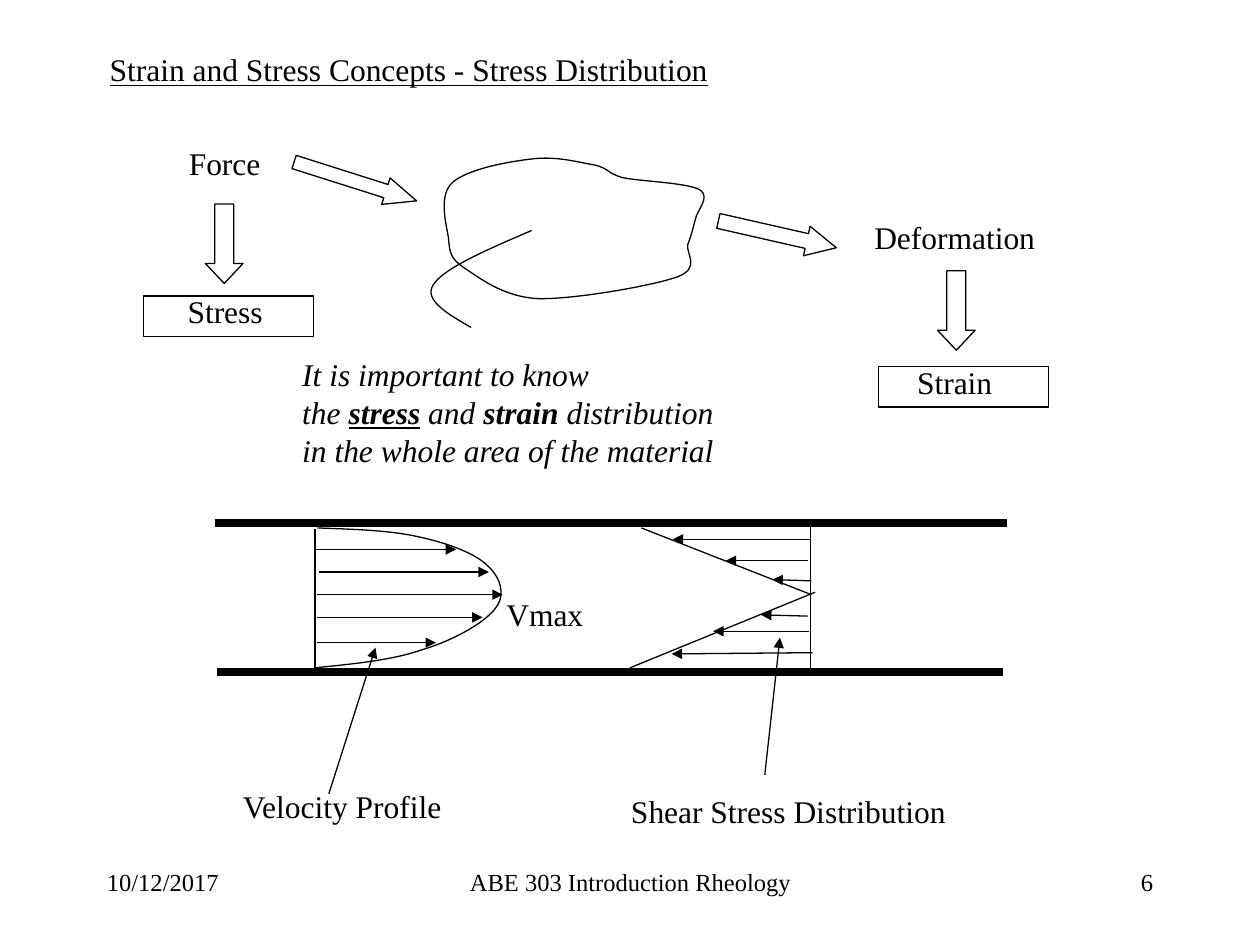
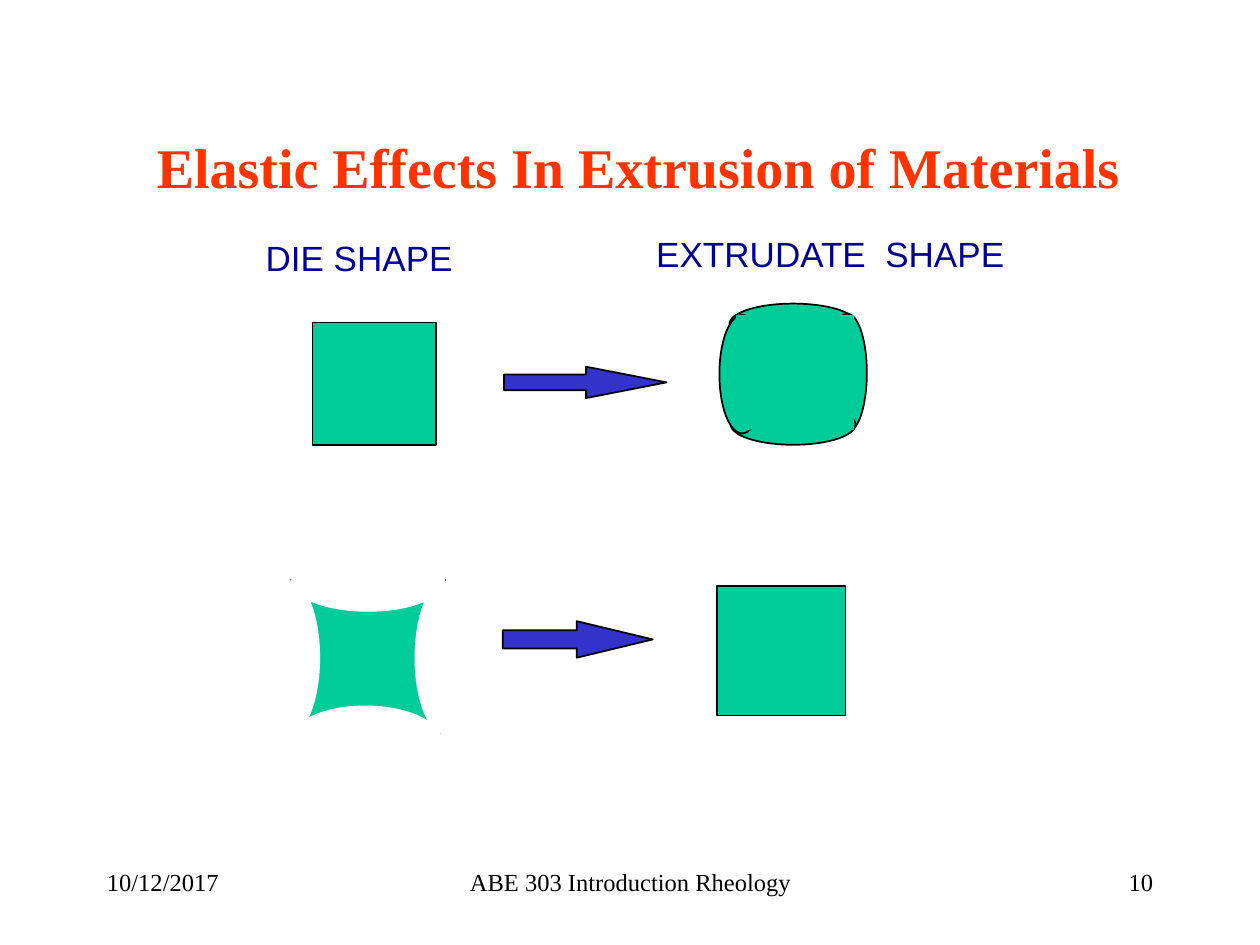
"""Build two rheology slides: stress distribution and elastic effects in extrusion."""
import lxml.etree
import pptx
import pptx.dml.color
import pptx.enum.shapes
import pptx.enum.text
import pptx.oxml.ns
import pptx.util

PX = 9144
SERIF, SANS = "Times New Roman", "Arial"
BLACK, WHITE, ORANGE, NAVY = "000000", "FFFFFF", "FF3300", "000099"
GREEN, BLUE = "00CC99", "3333CC"
SHAPE = pptx.enum.shapes.MSO_SHAPE
ALIGN = pptx.enum.text.PP_ALIGN
ANCHOR = pptx.enum.text.MSO_ANCHOR
colour = pptx.dml.color.RGBColor.from_string
qualified = pptx.oxml.ns.qn


def write(shape, box, text, size=18, color=BLACK, font=SERIF, align=ALIGN.LEFT,
          anchor=ANCHOR.TOP, wrap=False):
    """Place a text shape and give all of its paragraphs one style."""
    shape.left, shape.top, shape.width, shape.height = [value * PX for value in box]
    frame = shape.text_frame
    frame.text = text
    frame.word_wrap = wrap
    frame.auto_size = pptx.enum.text.MSO_AUTO_SIZE.NONE
    frame.vertical_anchor = anchor
    for paragraph in frame.paragraphs:
        paragraph.alignment = align
        paragraph.font.name = font
        paragraph.font.size = pptx.util.Pt(size)
        paragraph.font.color.rgb = colour(color)
    return frame


def paint(shape, fill, line, width):
    """Set fill and outline, where None means there is none."""
    shape.shadow.inherit = False
    if fill:
        shape.fill.solid()
        shape.fill.fore_color.rgb = colour(fill)
    else:
        shape.fill.background()
    if line:
        shape.line.color.rgb = colour(line)
        shape.line.width = pptx.util.Pt(width)
    else:
        shape.line.fill.background()


presentation = pptx.Presentation()
presentation.slide_width, presentation.slide_height = 1000 * PX, 750 * PX
title_only = presentation.slide_layouts[5]
stress_slide = presentation.slides.add_slide(title_only)
extrusion_slide = presentation.slides.add_slide(title_only)

for slide, number in ((stress_slide, "6"), (extrusion_slide, "10")):
    for left, width, text, align in (
        (75, 208, "10/12/2017", ALIGN.LEFT),
        (342, 317, "ABE 303 Introduction Rheology", ALIGN.CENTER),
        (717, 208, number, ALIGN.RIGHT),
    ):
        write(slide.shapes.add_textbox(0, 0, 0, 0), (left, 683, width, 50), text, 14,
              align=align, wrap=True)

title = write(stress_slide.shapes.title, (77, 35, 495, 40),
              "Strain and Stress Concepts - Stress Distribution")
title.paragraphs[0].font.bold = False
title.paragraphs[0].font.underline = True
title = write(extrusion_slide.shapes.title, (98, 111, 818, 41),
              "Elastic Effects In Extrusion of Materials", 32, ORANGE,
              align=ALIGN.CENTER, anchor=ANCHOR.MIDDLE, wrap=True)
title.paragraphs[0].font.bold = True

for left, top, width, text in (
    (140, 109, 77, "Force"),
    (684, 168, 148, "Deformation"),
    (139, 227, 80, "Stress"),
    (718, 283, 80, "Strain"),
    (392, 467, 81, "Vmax"),
    (183, 620, 181, "Velocity Profile"),
    (491, 624, 270, "Shear Stress Distribution"),
):
    write(stress_slide.shapes.add_textbox(0, 0, 0, 0), (left, top, width, 40), text)

for left, top, width, text, wrap in ((511, 180, 299, "EXTRUDATE  SHAPE", False),
                                     (201, 183, 241, "DIE SHAPE", True)):
    write(extrusion_slide.shapes.add_textbox(0, 0, 0, 0), (left, top, width, 43), text,
          20, NAVY, SANS, wrap=wrap)

remark = write(stress_slide.shapes.add_textbox(0, 0, 0, 0), (230, 277, 348, 100),
               "It is important to know\nthe \nin the whole area of the material")
for paragraph in remark.paragraphs:
    paragraph.font.italic = True
for text, bold, underline in (("stress", True, True), (" and ", False, False),
                              ("strain", True, False), (" distribution", False, False)):
    run = remark.paragraphs[1].add_run()
    run.text = text
    run.font.bold = bold
    run.font.underline = underline

material = [(494, 141), (481, 137), (484, 134), (472, 131), (460, 129), (443, 124), (424, 126),
            (405, 128), (371, 134), (359, 145), (348, 155), (354, 177), (356, 189), (357, 200),
            (357, 205), (369, 213), (380, 220), (398, 235), (426, 237), (454, 238), (517, 227),
            (537, 220), (557, 213), (544, 201), (546, 194), (549, 186), (550, 181), (552, 174),
            (553, 167), (564, 157), (556, 151), (547, 145), (508, 144), (494, 141)]
pointer = [(374, 260), (355, 249), (336, 238), (344, 226), (352, 213), (387, 198), (422, 183)]
velocity_profile = [(252, 419), (281, 420), (310, 421), (332, 426), (355, 431), (377, 439),
                    (387, 449), (397, 458), (402, 472), (393, 483), (384, 495), (358, 509),
                    (334, 516), (311, 524), (280, 527), (250, 530)]
for curve, closed in ((material, True), (pointer, False), (velocity_profile, False)):
    builder = stress_slide.shapes.build_freeform(*curve[0], scale=PX)
    builder.add_line_segments(curve[1:], close=closed)
    outline = builder.convert_to_shape()
    paint(outline, None, BLACK, 0.75)
    segments = list(outline._element.iter(qualified("a:lnTo")))
    for first in range(0, len(curve) - 1, 3):
        bezier = lxml.etree.Element(qualified("a:cubicBezTo"))
        segments[first].addprevious(bezier)
        for segment in segments[first:first + 3]:
            bezier.append(segment[0])
            segment.getparent().remove(segment)

plain_lines = [(250, 420, 250, 531), (643, 417, 643, 530), (644, 472, 509, 419), (647, 470, 500, 530)]
pipe_walls = [(171, 415, 799, 415), (172, 533, 796, 533)]
velocity_arrows = [(251, 436, 362, 436), (253, 454, 388, 454), (252, 472, 399, 472),
                   (252, 490, 383, 490), (252, 510, 346, 510)]
stress_arrows = [(644, 428, 534, 428), (641, 445, 576, 445), (644, 461, 613, 460),
                 (641, 489, 604, 488), (642, 501, 566, 501), (645, 518, 533, 519)]
label_arrows = [(261, 630, 298, 514), (607, 615, 619, 506)]
for lines, width, arrowhead in ((pipe_walls, 4.5, False), (plain_lines, 0.75, False),
                                (velocity_arrows + stress_arrows + label_arrows, 0.75, True)):
    for ends in lines:
        connector = stress_slide.shapes.add_connector(
            pptx.enum.shapes.MSO_CONNECTOR.STRAIGHT, *[value * PX for value in ends])
        connector.line.color.rgb = colour(BLACK)
        connector.line.width = pptx.util.Pt(width)
        if arrowhead:
            lxml.etree.SubElement(connector.line._get_or_add_ln(),
                                  qualified("a:tailEnd"), type="triangle")
        lxml.etree.SubElement(connector._element.spPr, qualified("a:effectLst"))

extrudate = extrusion_slide.shapes.add_group_shape()
stress_shapes = [
    (SHAPE.RIGHT_ARROW, (231, 133, 102, 22), 17.6, 1.16),
    (SHAPE.RIGHT_ARROW, (569, 174, 96, 24), 12.8, 1),
    (SHAPE.DOWN_ARROW, (163, 162, 30, 63), 0, 0.53),
    (SHAPE.DOWN_ARROW, (744, 215, 30, 63), 0, 0.53),
    (SHAPE.RECTANGLE, (114, 235, 135, 32), 0, None),
    (SHAPE.RECTANGLE, (697, 291, 135, 32), 0, None),
]
extrudate_sides = [
    (SHAPE.OVAL, (579, 241, 101, 32), 0, None),
    (SHAPE.OVAL, (657, 249, 31, 94), 0, None),
    (SHAPE.OVAL, (580, 321, 99, 32), 0, None),
    (SHAPE.OVAL, (571, 250, 36, 94), 0, None),
]
extrudate_core = [(SHAPE.RECTANGLE, (584, 250, 94, 91), 0, None)]
squares = [
    (SHAPE.RECTANGLE, (248, 256, 98, 97), 0, None),
    (SHAPE.RECTANGLE, (569, 465, 102, 103), 0, None),
]
process_arrows = [
    (SHAPE.RIGHT_ARROW, (400, 291, 129, 25), 0, 2.56),
    (SHAPE.RIGHT_ARROW, (399, 493, 119, 29), 0, 2.08),
]
backing = [
    (SHAPE.OVAL, (149, 452, 158, 26), 0, None),
    (SHAPE.RECTANGLE, (307, 464, 50, 114), 0, None),
    (SHAPE.RECTANGLE, (194, 455, 64, 150), 0, None),
]
outlined_backing = [(SHAPE.OVAL, (144, 549, 158, 26), 0, None)]
die_square = [(SHAPE.RECTANGLE, (231, 460, 122, 122), 0, None)]
die_cutouts = [
    (SHAPE.OVAL, (229, 560, 122, 57), 0, None),
    (SHAPE.OVAL, (292, 498, 122, 48), 90, None),
    (SHAPE.OVAL, (169, 498, 122, 48), 90, None),
]
top_cutout = [(SHAPE.OVAL, (231, 437, 122, 48), 0, None)]
for parent, group, fill, line, width in (
    (stress_slide, stress_shapes, None, BLACK, 0.75),
    (extrudate, extrudate_sides, GREEN, BLACK, 1),
    (extrudate, extrudate_core, GREEN, None, 0),
    (extrusion_slide, squares, GREEN, BLACK, 1),
    (extrusion_slide, process_arrows, BLUE, BLACK, 1),
    (extrusion_slide, backing, WHITE, None, 0),
    (extrusion_slide, outlined_backing, WHITE, WHITE, 1),
    (extrusion_slide, die_square, GREEN, BLACK, 1),
    (extrusion_slide, die_cutouts, WHITE, None, 0),
    (extrusion_slide, top_cutout, WHITE, WHITE, 0.75),
):
    for kind, box, rotation, head in group:
        shape = parent.shapes.add_shape(kind, *[value * PX for value in box])
        shape.rotation = rotation
        if head:
            shape.adjustments[0], shape.adjustments[1] = 0.5, head
        paint(shape, fill, line, width)

presentation.save("out.pptx")
